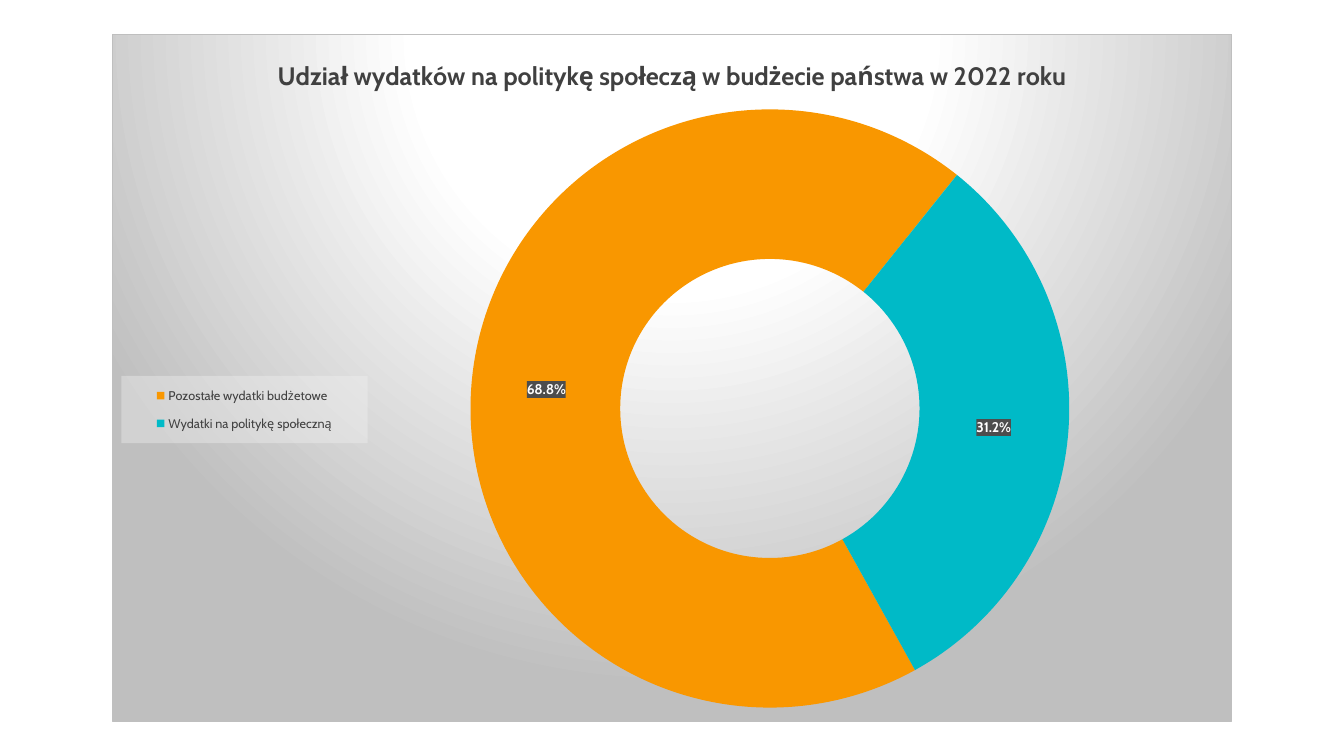
from lxml import etree
from pptx import Presentation, util as u
from pptx.chart.data import CategoryChartData
from pptx.dml.color import RGBColor
from pptx.enum import chart as ch
from pptx.oxml import parse_xml
from pptx.oxml.ns import nsdecls, qn

WIDTH, HEIGHT = u.Inches(13.33), u.Inches(7.5)
FONT = "Cabin"
WHITE = RGBColor(0xFF, 0xFF, 0xFF)
SILVER = RGBColor(0xBF, 0xBF, 0xBF)
PALE = RGBColor(0xF2, 0xF2, 0xF2)
DARK = RGBColor(0x40, 0x40, 0x40)
LABEL_BACK = RGBColor(0x4D, 0x4D, 0x4D)
ORANGE = RGBColor(0xF9, 0x97, 0x00)
TEAL = RGBColor(0x00, 0xBA, 0xC7)

TITLE = "Udział wydatków na politykę społeczą w budżecie państwa w 2022 roku"
SPENDING = [
    ("Pozostałe wydatki budżetowe", 68.8, ORANGE),
    ("Wydatki na politykę społeczną", 31.2, TEAL),
]


def style_font(font, size, color, bold=False):
    values = {"name": FONT, "size": u.Pt(size), "bold": bold}
    for name, value in values.items():
        setattr(font, name, value)
    font.color.rgb = color


def shape_format(content):
    return parse_xml(f'<c:spPr {nsdecls("c", "a")}>{content}</c:spPr>')


def solid(color, opacity=100):
    return (f'<a:solidFill><a:srgbClr val="{color}">'
            f'<a:alpha val="{opacity * 1000}"/></a:srgbClr></a:solidFill>')


def manual_layout(x, y, w, h, inner=False):
    """Layout element whose box is given in shares of the chart's size."""
    parts = [("layoutTarget", "inner")] if inner else []
    parts += [("xMode", "edge"), ("yMode", "edge"),
              ("x", x), ("y", y), ("w", w), ("h", h)]
    layout = etree.Element(qn("c:layout"))
    box = etree.SubElement(layout, qn("c:manualLayout"))
    for tag, value in parts:
        etree.SubElement(box, qn(f"c:{tag}")).set("val", str(value))
    return layout


def add_doughnut(s):
    data = CategoryChartData()
    data.categories = [name for name, _, _ in SPENDING]
    data.add_series("Series 1", [share for _, share, _ in SPENDING])
    box = (u.Inches(1.11), u.Inches(0.34), u.Inches(11.11), u.Inches(6.82))
    chart = s.shapes.add_chart(ch.XL_CHART_TYPE.DOUGHNUT, *box, data).chart
    style_font(chart.font, 10, RGBColor(0, 0, 0))

    plot = chart.plots[0]
    plot.vary_by_categories = True
    for i, (_, _, color) in enumerate(SPENDING):
        fill = plot.series[0].points[i].format.fill
        fill.solid()
        fill.fore_color.rgb = color

    root = chart.element
    for tag, value in {"c:firstSliceAng": 151, "c:holeSize": 54}.items():
        next(root.iter(qn(tag))).set("val", str(value))
    area = next(root.iter(qn("c:plotArea")))
    for old in area.findall(qn("c:layout")):
        area.remove(old)
    area.insert(0, manual_layout(0.32, 0.108, 0.535, 0.873, inner=True))
    return chart


def add_title(chart):
    tf = chart.chart_title.text_frame
    tf.text = TITLE
    style_font(tf.paragraphs[0].runs[0].font, 18, DARK, bold=True)
    chart.chart_title.include_in_layout = False


def add_legend(chart):
    chart.has_legend = True
    legend = chart.legend
    legend.position = ch.XL_LEGEND_POSITION.LEFT
    legend.include_in_layout = False
    style_font(legend.font, 9, DARK)
    xml = next(chart.element.iter(qn("c:legend")))
    for old in xml.findall(qn("c:layout")):
        xml.remove(old)
    xml.find(qn("c:legendPos")).addnext(manual_layout(0.008, 0.497, 0.22, 0.098))
    xml.find(qn("c:overlay")).addnext(shape_format(solid(PALE, 39)))


def add_labels(chart):
    labels = chart.plots[0].series[0].data_labels
    values = {"show_value": False, "show_percentage": True,
              "number_format": "0.0%", "number_format_is_linked": False}
    for name, value in values.items():
        setattr(labels, name, value)
    style_font(labels.font, 10, WHITE, bold=True)
    number_format = next(chart.element.iter(qn("c:ser"))).find(
        f'{qn("c:dLbls")}/{qn("c:numFmt")}')
    number_format.addnext(shape_format(solid(LABEL_BACK)))


def shade_background(chart):
    stops = "".join(f'<a:gs pos="{pos * 1000}"><a:srgbClr val="{color}"/></a:gs>'
                    for pos, color in [(0, WHITE), (39, WHITE), (100, SILVER)])
    gradient = (f'<a:gradFill><a:gsLst>{stops}</a:gsLst><a:path path="circle">'
                '<a:fillToRect l="50000" t="-80000" r="50000" b="180000"/>'
                '</a:path></a:gradFill>')
    border = f'<a:ln w="{u.Pt(0.75)}">{solid(SILVER)}</a:ln>'
    chart.element.find(qn("c:chart")).addnext(shape_format(gradient + border))


def main():
    prs = Presentation()
    prs.slide_width, prs.slide_height = WIDTH, HEIGHT
    s = prs.slides.add_slide(prs.slide_layouts[6])
    chart = add_doughnut(s)
    for decorate in (add_title, add_legend, add_labels, shade_background):
        decorate(chart)
    prs.save("out.pptx")


if __name__ == "__main__":
    main()
